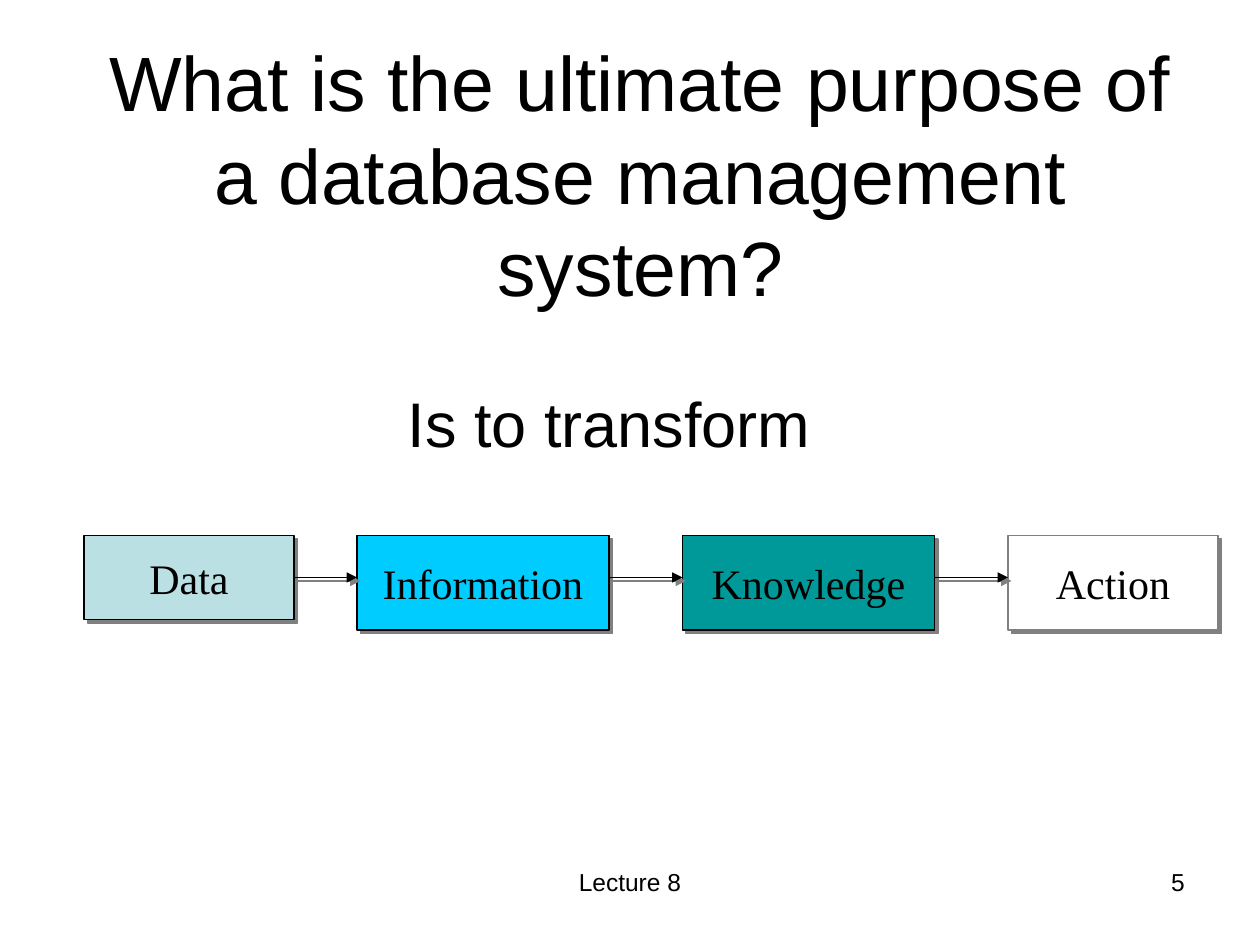
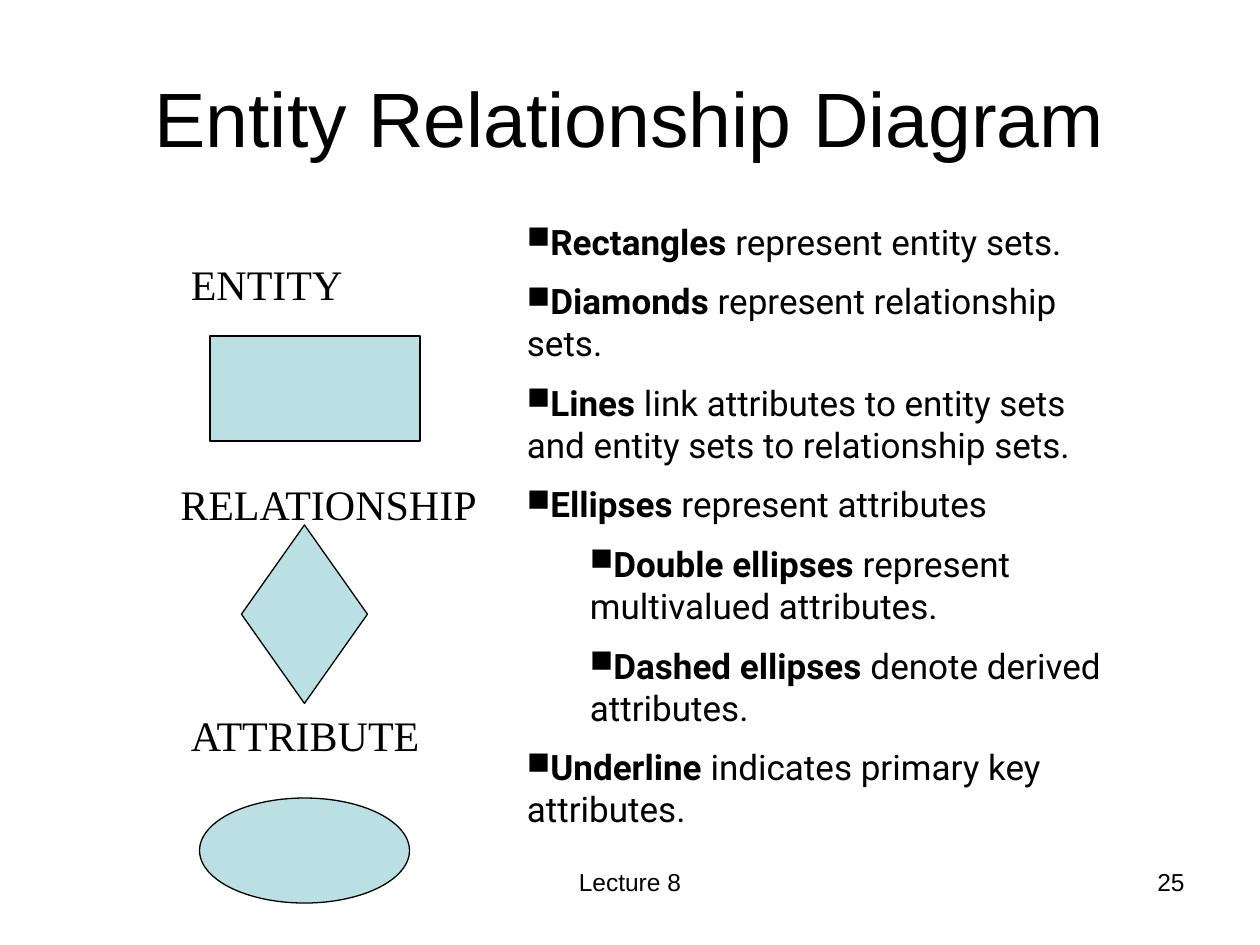
from lxml import etree
from pptx import Presentation
from pptx import util as u
from pptx.dml import color
from pptx.enum import shapes, text
from pptx.oxml import ns

BLACK, GREY, PALE = "000000", "808080", "BBE0E3"
ARIAL, TIMES, ROBOTO = "Arial", "Times New Roman", "Roboto"
LEFT, MID, RIGHT = text.PP_ALIGN.LEFT, text.PP_ALIGN.CENTER, text.PP_ALIGN.RIGHT
RECT, GEM, OVAL = (shapes.MSO_SHAPE.RECTANGLE, shapes.MSO_SHAPE.DIAMOND,
                   shapes.MSO_SHAPE.OVAL)

deck = Presentation()
deck.slide_width, deck.slide_height = u.Inches(10), u.Inches(7.5)
COL, ROW = deck.slide_width / 120, deck.slide_height / 90


def grid(x, y, w, h):
    return [round(n * step) for n, step in zip((x, y, w, h), (COL, ROW, COL, ROW))]


def put(par, words, size, face, align=LEFT, bold=False):
    par.alignment = align
    run = par.add_run()
    run.text = words
    form = {"size": u.Pt(size), "name": face, "bold": bold}
    for key, value in form.items():
        setattr(run.font, key, value)
    run.font.color.rgb = color.RGBColor.from_string(BLACK)


slides = []
for title, left, top, page in [
    ("What is the ultimate purpose of a database management system?", 7, 9, "5"),
    ("Entity Relationship Diagram", 6, 3.6, "25"),
]:
    slide = deck.slides.add_slide(deck.slide_layouts[5])
    slides.append(slide)
    head = slide.shapes.title
    place = dict(zip(("left", "top", "width", "height"), grid(left, top, 108, 15)))
    for key, value in place.items():
        setattr(head, key, value)
    frame = head.text_frame
    form = {"word_wrap": True, "auto_size": text.MSO_AUTO_SIZE.NONE,
            "vertical_anchor": text.MSO_ANCHOR.MIDDLE}
    for key, value in form.items():
        setattr(frame, key, value)
    put(frame.paragraphs[0], title, 44, ARIAL, MID)

flow, chart = slides
figures = [
    (flow, RECT, 8, 51, 20, 8, PALE, BLACK, "Data"),
    (flow, RECT, 34, 51, 24, 9, "00CCFF", BLACK, "Information"),
    (flow, RECT, 65, 51, 24, 9, "009999", BLACK, "Knowledge"),
    (flow, RECT, 96, 51, 20, 9, "FFFFFF", GREY, "Action"),
    (chart, RECT, 20, 32, 20, 10, PALE, BLACK, ""),
    (chart, GEM, 23, 50, 12, 17, PALE, BLACK, ""),
    (chart, OVAL, 19, 76, 20, 10, PALE, BLACK, ""),
]
steps = []
for slide, kind, x, y, w, h, fill, edge, word in figures:
    box = slide.shapes.add_shape(kind, *grid(x, y, w, h))
    box.fill.solid()
    box.fill.fore_color.rgb = color.RGBColor.from_string(fill)
    box.line.color.rgb = color.RGBColor.from_string(edge)
    box.line.width = u.Pt(0.75)
    if word:
        box.text_frame.word_wrap = False
        box.text_frame.vertical_anchor = text.MSO_ANCHOR.MIDDLE
        put(box.text_frame.paragraphs[0], word, 24, TIMES, MID)
        steps.append(box)
    else:
        box.shadow.inherit = False

links = []
for start, end in zip(steps, steps[1:]):
    y = round(55 * ROW)
    link = flow.shapes.add_connector(shapes.MSO_CONNECTOR.STRAIGHT,
                                     start.left + start.width, y, end.left, y)
    link.line.color.rgb = color.RGBColor.from_string(BLACK)
    link.line.width = u.Pt(0.75)
    etree.SubElement(link.line._get_or_add_ln(), ns.qn("a:tailEnd"), type="triangle")
    links.append(link)

for item in steps + links:
    effect = etree.SubElement(item._element.spPr, ns.qn("a:effectLst"))
    shade = etree.SubElement(effect, ns.qn("a:outerShdw"), dist=str(u.Pt(2.8)),
                             dir="2700000", algn="ctr", rotWithShape="0")
    etree.SubElement(shade, ns.qn("a:srgbClr"), val=GREY)

notes = [
    (flow, 30, 36, 56, 8.4, "Is to transform", 36, ARIAL, MID),
    (chart, 17, 24, 43, 6, "ENTITY", 24, TIMES, LEFT),
    (chart, 16, 45, 48, 6, "RELATIONSHIP", 24, TIMES, LEFT),
    (chart, 17, 67, 47, 6, "ATTRIBUTE", 24, TIMES, LEFT),
]
for slide, page in zip(slides, ("5", "25")):
    notes += [(slide, 41, 82, 38, 6.2, "Lecture 8", 14, ARIAL, MID),
              (slide, 86, 82, 28, 6.2, page, 14, ARIAL, RIGHT)]
for slide, x, y, w, h, words, size, face, align in notes:
    frame = slide.shapes.add_textbox(*grid(x, y, w, h)).text_frame
    frame.word_wrap = True
    put(frame.paragraphs[0], words, size, face, align)

frame = chart.shapes.add_textbox(*grid(49, 20.4, 60, 61.2)).text_frame
frame.word_wrap = True
rules = [
    (0, "Rectangles", " represent entity sets."),
    (0, "Diamonds", " represent relationship sets."),
    (0, "Lines", " link attributes to entity sets and entity sets to relationship sets."),
    (0, "Ellipses", " represent attributes"),
    (1, "Double ellipses", " represent multivalued attributes."),
    (1, "Dashed ellipses", " denote derived attributes."),
    (0, "Underline", " indicates primary key attributes."),
]
for index, (level, term, rest) in enumerate(rules):
    par = frame.add_paragraph() if index else frame.paragraphs[0]
    par.level = level
    par.space_before = u.Pt(10 if index else 0)
    put(par, term, 20, ROBOTO, bold=True)
    put(par, rest, 20, ROBOTO)
    props = par._p.get_or_add_pPr()
    props.set("marL", str(u.Inches(level / 2)))
    props.set("indent", "0")
    tint = etree.SubElement(props, ns.qn("a:buClr"))
    etree.SubElement(tint, ns.qn("a:srgbClr"), val=BLACK)
    etree.SubElement(props, ns.qn("a:buSzPct"), val="90000")
    etree.SubElement(props, ns.qn("a:buChar"), char="■")

deck.save("out.pptx")
